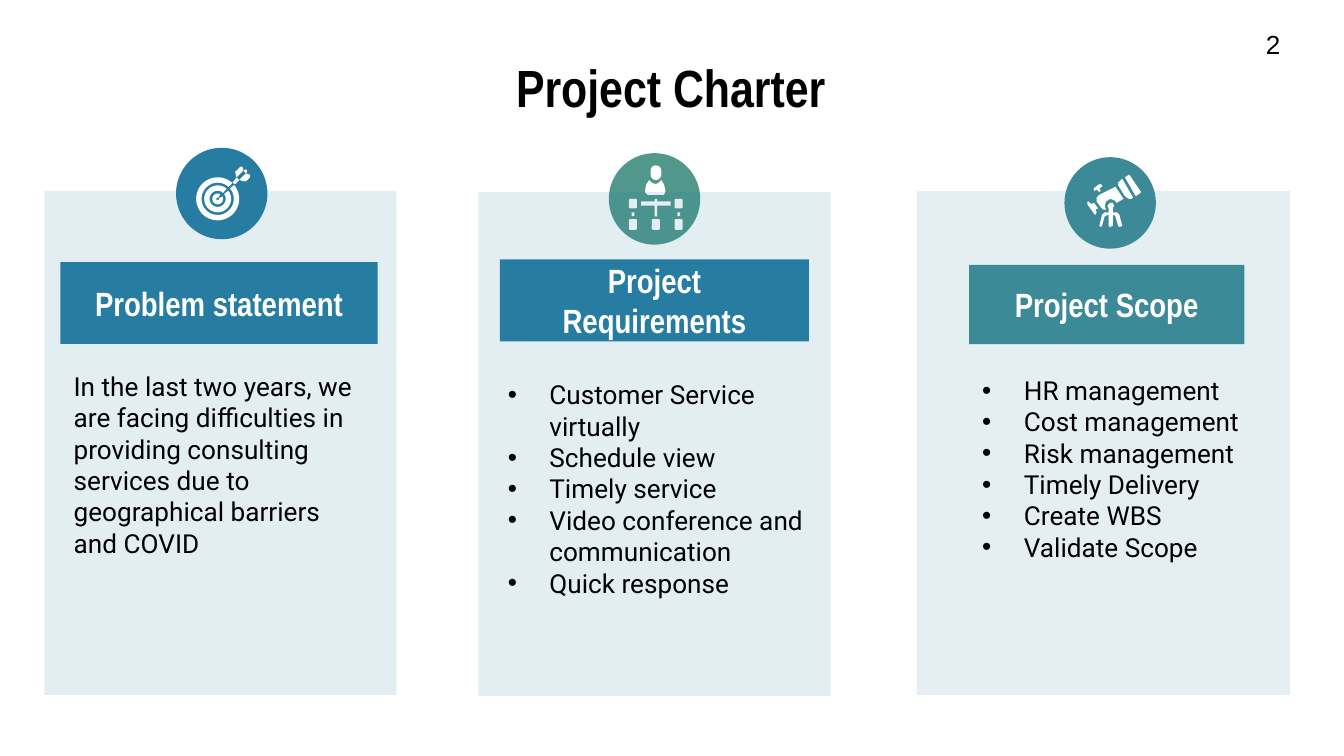
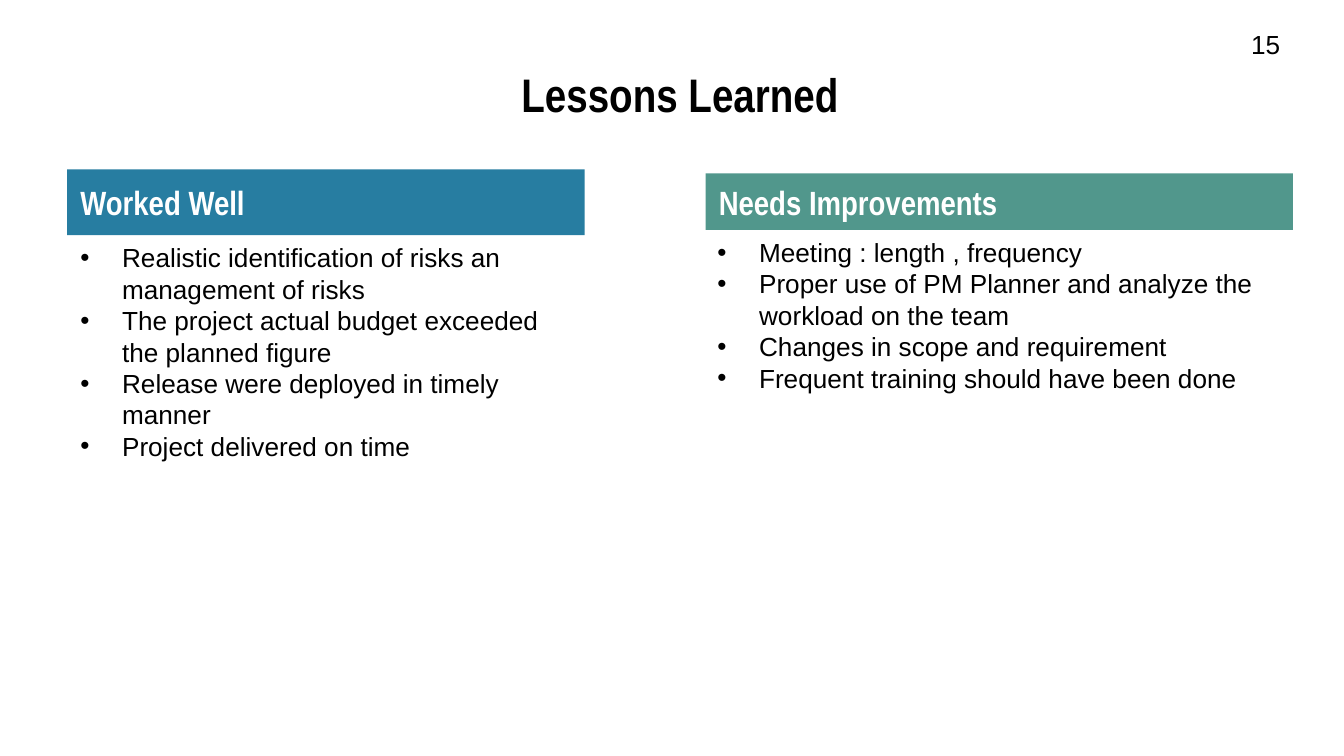
from math import cos, radians, sin

from lxml.etree import SubElement
from pptx import Presentation
from pptx.dml.color import RGBColor as Rgb
from pptx.enum.shapes import MSO_SHAPE as Kind
from pptx.enum.text import MSO_ANCHOR as Anchor, PP_ALIGN as Align
from pptx.oxml.ns import qn
from pptx.util import Emu, Pt

PX = 9144
WIDE = 1000
HUES = {
    "blue": "277DA1",
    "teal": "3C8A97",
    "green": "51978C",
    "white": "FFFFFF",
    "black": "000000",
}
HEAD = "Arial Narrow"
BODY = "Roboto"
PLAIN = "Arial"

ARROW = [
    [(176, 132), (173, 136), (175, 137), (178, 134), (177, 133)],
    [(183, 126), (181, 127), (183, 129), (184, 128), (184, 127)],
    [(179, 124), (176, 127), (175, 128), (176, 132), (181, 127), (181, 125), (180, 124)],
    [(183, 129), (178, 134), (182, 135), (183, 135), (186, 132), (186, 130)],
]
SCOPE = [
    [(826, 151), (824, 153), (825, 155), (825, 158), (822, 158), (820, 160),
     (818, 168), (819, 169), (820, 168), (822, 161), (824, 160), (825, 160),
     (825, 168), (826, 169), (828, 168), (828, 160), (829, 160), (830, 161),
     (832, 168), (833, 169), (835, 168), (833, 160), (831, 158), (828, 158),
     (828, 155), (829, 153), (828, 151)],
    [(810, 150), (809, 150), (809, 152), (814, 159), (815, 160), (816, 158),
     (815, 156), (817, 155), (814, 151), (812, 152), (811, 151)],
    [(840, 130), (837, 132), (845, 146), (848, 144), (849, 143), (841, 131)],
    [(835, 133), (834, 134), (832, 136), (832, 138), (837, 146), (840, 148),
     (842, 148), (843, 147)],
    [(819, 137), (818, 137), (814, 140), (814, 142), (815, 142), (816, 141),
     (818, 143), (819, 142), (818, 140), (820, 139), (820, 138)],
    [(830, 139), (818, 145), (816, 147), (816, 150), (819, 154), (821, 156),
     (823, 156), (822, 153), (823, 150), (826, 148), (829, 149), (831, 151),
     (836, 148)],
]
BUST = [(483, 134), (481, 137), (480, 141), (480, 143), (482, 145), (494, 145),
        (495, 143), (495, 141), (494, 137), (492, 134), (490, 136), (488, 137),
        (485, 136)]
TREE = [(487, 148), (487, 150), (477, 150), (477, 153), (487, 153), (487, 161),
        (489, 161), (489, 153), (499, 153), (499, 150), (489, 150), (489, 148)]


def px(n):
    return Emu(round(n * PX))


def hue(name):
    return Rgb.from_string(HUES[name])


def paint(item, name, alpha=None):
    item.shadow.inherit = False
    item.fill.solid()
    item.fill.fore_color.rgb = hue(name)
    item.line.fill.background()
    if alpha:
        tint = item.fill._xPr.find(qn("a:solidFill"))[0]
        SubElement(tint, qn("a:alpha"), val=str(alpha * 1000))
    return item


def shape(slide, kind, box, name, alpha=None, round_by=None):
    item = slide.shapes.add_shape(kind, *map(px, box))
    if round_by is not None:
        item.adjustments[0] = round_by
    return paint(item, name, alpha)


def poly(slide, dots, name="white"):
    ends = [(px(x), px(y)) for x, y in dots]
    pen = slide.shapes.build_freeform(*ends[0], scale=1.0)
    pen.add_line_segments(ends[1:], close=True)
    return paint(pen.convert_to_shape(), name)


def bullet(para):
    props = para._p.get_or_add_pPr()
    props.set("marL", str(px(31)))
    props.set("indent", str(-px(31)))
    tint = SubElement(props, qn("a:buClr"))
    SubElement(tint, qn("a:srgbClr"), val=HUES["black"])
    SubElement(props, qn("a:buFont"), typeface=PLAIN)
    SubElement(props, qn("a:buChar"), char="•")


def text(slide, box, lines, size=14, face=PLAIN, name="black", bold=False,
         align=Align.LEFT, anchor=Anchor.MIDDLE, pad=10, dots=False, fill=None):
    if fill:
        item = shape(slide, Kind.RECTANGLE, box, fill)
    else:
        item = slide.shapes.add_textbox(*map(px, box))
    frame = item.text_frame
    frame.word_wrap = True
    frame.vertical_anchor = anchor
    frame.margin_left = frame.margin_right = px(10)
    frame.margin_top = frame.margin_bottom = px(pad)
    for i, line in enumerate(lines):
        para = frame.paragraphs[0] if i == 0 else frame.add_paragraph()
        para.alignment = align
        if dots:
            bullet(para)
        run = para.add_run()
        run.text = line
        font = run.font
        font.size, font.name, font.bold = Pt(size), face, bold
        font.color.rgb = hue(name)


def title(slide, box, words, size):
    text(slide, box, [words], size=size, face=HEAD, bold=True, align=Align.CENTER)


def band(slide, box, words, fill, align=Align.CENTER):
    text(slide, box, [words], size=18, face=HEAD, name="white", bold=True,
         align=align, fill=fill)


def notes(slide, box, lines):
    text(slide, box, lines, anchor=Anchor.TOP, pad=5, dots=True)


def number(slide, box, words):
    text(slide, box, [words], anchor=Anchor.TOP, pad=5)


def panel(slide, box, name):
    shape(slide, Kind.RECTANGLE, box, name, alpha=13)


def arc(r, start, end):
    step = 6 if end > start else -6
    turns = [*range(start, end, step), end]
    return [(162 + r * cos(radians(a)), 148 + r * sin(radians(a))) for a in turns]


def target(slide):
    for outer, inner, start, end in ((10, 6, -37, 312), (4, 1, -27, 297), (16, 12, -40, 313)):
        poly(slide, arc(outer, start, end) + arc(inner, end, start))
    for dots in ARROW:
        poly(slide, dots)


def scope(slide):
    for dots in SCOPE:
        poly(slide, dots)


def team(slide):
    for x, y, high in ((468, 163, 8), (468, 148, 7), (485, 163, 8), (502, 163, 8), (502, 148, 7)):
        shape(slide, Kind.ROUNDED_RECTANGLE, (x, y, 6, high), "white", round_by=0.17)
    shape(slide, Kind.ROUNDED_RECTANGLE, (484, 123, 8, 11), "white", round_by=0.5)
    poly(slide, BUST)
    poly(slide, TREE)
    for x in (470, 504):
        shape(slide, Kind.RECTANGLE, (x, 158, 2, 3), "white")


def charter(slide):
    panel(slide, (682, 142, 278, 375), "teal")
    panel(slide, (33, 142, 262, 375), "blue")
    for x, y, name in ((453, 114, "green"), (792, 117, "teal"), (131, 110, "blue")):
        shape(slide, Kind.OVAL, (x, y, 68, 68), name)
    title(slide, (49, 44, 900, 41), "Project Charter", 28)
    target(slide)
    scope(slide)
    team(slide)
    band(slide, (45, 195, 236, 61), "Problem statement", "blue")
    text(slide, (45, 222, 236, 247), [
        "In the last two years, we are facing difficulties in providing "
        "consulting services due to geographical barriers and COVID",
    ], face=BODY)
    band(slide, (721, 197, 205, 59), "Project Scope", "teal")
    text(slide, (721, 286, 221, 125), [
        "HR management",
        "Cost management",
        "Risk management",
        "Timely Delivery",
        "Create WBS",
        "Validate Scope",
    ], face=BODY, dots=True)
    panel(slide, (356, 143, 262, 375), "blue")
    band(slide, (372, 193, 230, 61), "Project Requirements", "blue")
    text(slide, (368, 240, 244, 247), [
        "Customer Service virtually",
        "Schedule view",
        "Timely service",
        "Video conference and communication",
        "Quick response",
    ], face=BODY, dots=True)
    number(slide, (932, 16, 34, 34), "2")


def lessons(slide):
    title(slide, (51, 49, 910, 41), "Lessons Learned", 25.2)
    band(slide, (50, 126, 385, 49), "Worked Well", "blue", Align.LEFT)
    band(slide, (525, 129, 437, 42), "Needs Improvements", "green", Align.LEFT)
    notes(slide, (50, 175, 385, 269), [
        "Realistic identification of risks an management of risks",
        "The project actual budget exceeded the planned figure",
        "Release were deployed in timely manner",
        "Project delivered on time",
    ])
    notes(slide, (524, 171, 437, 128), [
        "Meeting : length , frequency",
        "Proper use of PM Planner and analyze the workload on the team",
        "Changes in scope and requirement",
        "Frequent training should have been done",
    ])
    number(slide, (921, 16, 45, 34), "15")


def main():
    deck = Presentation()
    deck.slide_width = px(WIDE)
    deck.slide_height = px(WIDE * 9 / 16)
    for build in (charter, lessons):
        build(deck.slides.add_slide(deck.slide_layouts[6]))
    deck.save("out.pptx")


if __name__ == "__main__":
    main()
